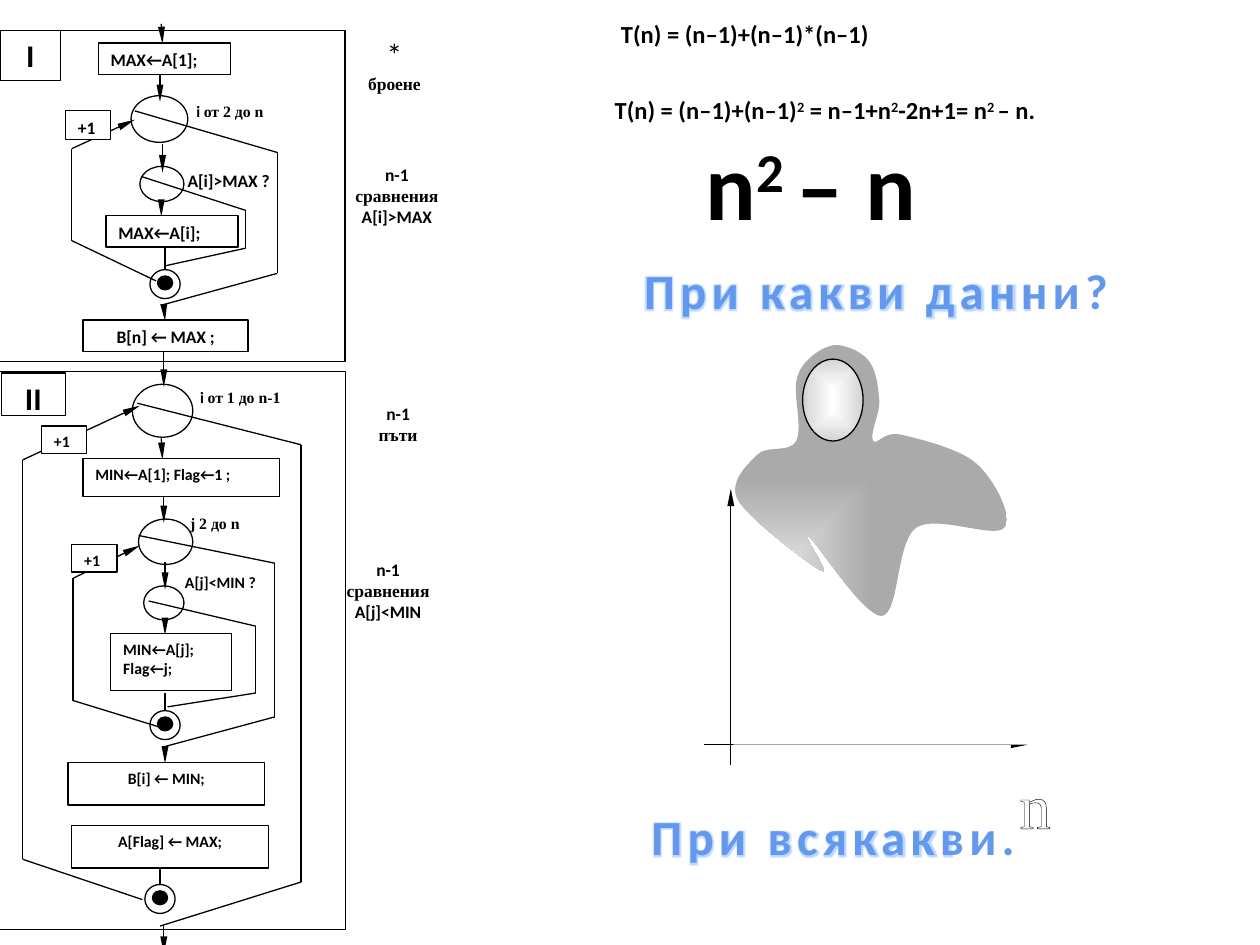
import pptx
import pptx.util
import pptx.dml.color
import pptx.enum.shapes
import pptx.enum.text
import pptx.oxml
import pptx.oxml.ns
from lxml import etree

Inches = pptx.util.Inches
Pt = pptx.util.Pt
qn = pptx.oxml.ns.qn
SHAPE = pptx.enum.shapes.MSO_SHAPE
ALIGN = pptx.enum.text.PP_ALIGN
ANCHOR = pptx.enum.text.MSO_ANCHOR
SANS, SERIF = "Calibri", "Times New Roman"
NAMESPACE = pptx.oxml.ns.nsdecls("a")

# Boxes are left, top, width, height in inches.
PANELS = [(-0.01, 2.95, 2.75, 4.43), (-0.02, 0.24, 2.76, 2.63)]
LOOP_CIRCLES = [(1.04, 0.76, 0.45, 0.37), (1.11, 1.32, 0.35, 0.28), (1.05, 3.05, 0.48, 0.42),
                (1.1, 4.12, 0.43, 0.36), (1.14, 4.65, 0.32, 0.27)]
END_MARKS = [(1.19, 2.14), (1.19, 5.64), (1.15, 7.02)]

STEPS = [  # text, box, size, centred
    ("I", (0, 0.24, 0.48, 0.4), 18, True),
    ("MAX←A[1];", (0.78, 0.34, 1.05, 0.25), 10, False),
    ("+1", (0.52, 0.88, 0.36, 0.23), 10, False),
    ("MAX←A[i];", (0.84, 1.71, 1.05, 0.25), 10, False),
    ("B[n] ← MAX ;", (0.66, 2.54, 1.31, 0.25), 10, True),
    ("II", (0.01, 2.96, 0.51, 0.34), 18, True),
    ("+1", (0.33, 3.38, 0.36, 0.22), 9, False),
    ("MIN←A[1]; Flag←1 ;", (0.66, 3.64, 1.56, 0.3), 9, False),
    ("+1", (0.57, 4.32, 0.36, 0.22), 9, False),
    ("MIN←A[j];\nFlag←j;", (0.88, 5.03, 0.96, 0.45), 9, False),
    ("B[i] ← MIN;", (0.54, 6.05, 1.56, 0.34), 9, True),
    ("A[Flag] ← MAX;", (0.57, 6.55, 1.56, 0.34), 9, True),
]

ARROWS = [
    [(1.28, 0.19), (1.29, 0.35)], [(1.27, 0.59), (1.27, 0.81)],
    [(1.29, 1.14), (1.29, 1.37)], [(1.28, 1.59), (1.28, 1.72)],
    [(1.3, 2.42), (1.31, 2.55)], [(1.3, 2.72), (1.3, 3.07)],
    [(1.28, 3.48), (1.29, 3.65)], [(1.3, 3.93), (1.3, 4.15)],
    [(1.31, 4.46), (1.31, 4.68)], [(1.31, 4.91), (1.31, 5.04)],
    [(1.31, 5.93), (1.31, 6.06)], [(1.3, 7.34), (1.3, 7.57)],
    # return paths of the loops
    [(1.24, 2.23), (0.57, 1.91), (0.57, 1.18), (1.07, 0.95)],
    [(1.33, 5.79), (0.58, 5.56), (0.58, 4.59), (1.11, 4.33)],
    [(1.13, 7.14), (0.18, 6.82), (0.18, 3.65), (1.11, 3.22)],
    # axes
    [(5.8, 6.07), (5.8, 3.88)], [(5.59, 5.91), (8.16, 5.91)],
]
PLAIN_LINES = [
    [(1.31, 1.97), (1.31, 2.14)], [(1.31, 5.5), (1.31, 5.64)], [(1.27, 6.87), (1.27, 7.02)],
    # exits of the loops and tests
    [(1.07, 0.88), (2.2, 1.21), (2.2, 2.17), (1.29, 2.42)],
    [(1.12, 1.4), (1.95, 1.67), (1.95, 1.97), (1.31, 2.11)],
    [(1.09, 3.2), (2.39, 3.53), (2.39, 7), (1.27, 7.35)],
    [(1.1, 4.25), (2.18, 4.47), (2.18, 5.69), (1.29, 5.93)],
    [(1.18, 4.77), (2.03, 4.97), (2.03, 5.5), (1.33, 5.61)],
]

# A paragraph is a list of (text, differing format) runs.
LABELS = [  # box, size, centred, paragraphs
    ((1.46, 0.76, 1.08, 0.22), 9, False, [[("i ", {}), ("от 2 до n", {"font": SERIF})]]),
    ((1.39, 1.3, 1.06, 0.22), 10, False, [[("A[i]>MAX ?", {})]]),
    ((1.49, 3.03, 0.95, 0.23), 9, False, [[("i ", {}), ("от 1 до n-1", {"font": SERIF})]]),
    ((1.41, 4.03, 0.89, 0.26), 9, False, [[("j 2 до n", {"font": SERIF})]]),
    ((1.37, 4.5, 0.86, 0.27), 9, False, [[("A[j]<MIN ?", {})]]),
    ((2.64, 0.23, 0.98, 0.79), 10, True,
     [[("*", {"size": 18, "bold": False})], [("броене", {"font": SERIF})]]),
    ((2.67, 1.25, 0.96, 0.6), 10, True,
     [[("n-1", {})], [("сравнения", {"font": SERIF})], [("A[i]>MAX", {})]]),
    ((2.68, 3.15, 0.96, 0.52), 10, True, [[("n-1", {})], [("пъти", {"font": SERIF})]]),
    ((2.6, 4.39, 0.96, 0.57), 10, True,
     [[("n-1", {})], [("сравнения", {"font": SERIF})], [("A[j]<MIN", {})]]),
]

RAISED = {"baseline": 30}
FORMULAS = [  # box, size, alignment, anchor, runs
    ((4.83, 0.1, 2.23, 0.34), 14, ALIGN.JUSTIFY, ANCHOR.MIDDLE, [("T(n) = (n–1)+(n–1)*(n–1)", {})]),
    ((4.78, 0.7, 3.64, 0.34), 14, ALIGN.JUSTIFY, ANCHOR.MIDDLE,
     [("T(n) = (n–1)+(n–1)", {}), ("2", RAISED), (" = n–1+n", {}), ("2", RAISED),
      ("-2n+1= n", {}), ("2 ", RAISED), ("– n.", {})]),
    ((5.47, 0.95, 1.93, 1.01), 54, ALIGN.CENTER, ANCHOR.TOP,
     [("n", {}), ("2 ", RAISED), ("– n", {})]),
]
QUESTIONS = [("При какви данни?", (4.1, 2.02, 5.71, 0.57), True),
             ("При всякакви.", (5.03, 6.35, 3.17, 0.57), False)]

GHOST_BOX = (5.78, 2.73, 2.27, 2.16)
GHOST_START = (6.93, 3.5)
GHOST_CURVES = [  # two control points and an end point each
    (6.9, 3.45, 6.98, 3.29, 6.98, 3.19), (6.97, 3.08, 6.96, 2.95, 6.9, 2.87),
    (6.85, 2.8, 6.74, 2.75, 6.66, 2.74), (6.59, 2.73, 6.5, 2.78, 6.44, 2.83),
    (6.39, 2.88, 6.34, 2.92, 6.32, 3.03), (6.3, 3.14, 6.37, 3.4, 6.32, 3.5),
    (6.27, 3.6, 6.08, 3.53, 6.01, 3.61), (5.93, 3.69, 5.78, 3.82, 5.86, 3.97),
    (5.95, 4.12, 6.42, 4.48, 6.52, 4.53), (6.61, 4.58, 6.34, 4.2, 6.42, 4.26),
    (6.5, 4.32, 6.86, 4.9, 7, 4.89), (7.14, 4.87, 7.11, 4.31, 7.27, 4.19),
    (7.43, 4.08, 7.89, 4.28, 7.97, 4.19), (8.05, 4.11, 7.89, 3.8, 7.75, 3.68),
    (7.62, 3.56, 7.28, 3.48, 7.15, 3.45), (7.01, 3.42, 6.96, 3.54, 6.93, 3.5),
]


def rgb(code):
    return pptx.dml.color.RGBColor.from_string(code)


def gradient_xml(stops, direction):
    marks = "".join(f'<a:gs pos="{place * 1000}"><a:srgbClr val="{code}"/></a:gs>'
                    for place, code in stops)
    return f"<a:gradFill {NAMESPACE}><a:gsLst>{marks}</a:gsLst>{direction}</a:gradFill>"


def path_gradient(shape, edge, path, focus):
    """Fill from white at the focus (left, top, right, bottom percent) to the edge colour."""
    left, top, right, bottom = (share * 1000 for share in focus)
    direction = (f'<a:path path="{path}"><a:fillToRect l="{left}" t="{top}" '
                 f'r="{right}" b="{bottom}"/></a:path>')
    xml = gradient_xml([(0, "FFFFFF"), (100, edge)], direction)
    shape._element.spPr[1].addnext(pptx.oxml.parse_xml(xml))


def finish(shape, fill=None, line="000000"):
    shape.shadow.inherit = False
    if fill:
        shape.fill.solid()
        shape.fill.fore_color.rgb = rgb(fill)
    if line:
        shape.line.color.rgb = rgb(line)
        shape.line.width = Pt(0.75)
    else:
        shape.line.fill.background()
    return shape


def add_figure(shapes, kind, box, fill="FFFFFF", line="000000"):
    return finish(shapes.add_shape(kind, *map(Inches, box)), fill, line)


def write(shape, paragraphs, size=10, align=ALIGN.LEFT, anchor=ANCHOR.TOP, wrap=True,
          font=SANS, bold=True, color="000000", side=0.1):
    frame = shape.text_frame
    frame.word_wrap, frame.vertical_anchor = wrap, anchor
    frame.margin_left = frame.margin_right = Inches(side)
    for number, runs in enumerate(paragraphs):
        para = frame.add_paragraph() if number else frame.paragraphs[0]
        para.alignment = align
        for text, style in runs:
            span = para.add_run()
            span.text = text
            span.font.name = style.get("font", font)
            span.font.size = Pt(style.get("size", size))
            span.font.bold = style.get("bold", bold)
            span.font.color.rgb = rgb(color)
            if "baseline" in style:
                span.font._element.set("baseline", str(style["baseline"] * 1000))
    return frame.paragraphs[0].runs[0].font._element


def outline_text(properties, code, width):
    properties.insert(0, pptx.oxml.parse_xml(
        f'<a:ln {NAMESPACE} w="{Pt(width)}"><a:solidFill><a:srgbClr val="{code}"/></a:solidFill></a:ln>'))


def decorate_question(properties):
    """Give the letters wide spacing, a blue gradient, a pale outline and a glow."""
    properties.set("spc", "300")
    blue = pptx.oxml.parse_xml(gradient_xml([(10, "6398ED"), (75, "265EA0")], '<a:lin ang="5400000"/>'))
    properties.replace(properties.find(qn("a:solidFill")), blue)
    blue.addnext(pptx.oxml.parse_xml(
        f'<a:effectLst {NAMESPACE}><a:glow rad="{Inches(0.05)}"><a:srgbClr val="7FB5FF">'
        '<a:alpha val="55000"/></a:srgbClr></a:glow></a:effectLst>'))
    outline_text(properties, "F4F6F9", 0.9)


def draw_route(shapes, points, arrow):
    for start, end in zip(points, points[1:]):
        line = shapes.add_connector(pptx.enum.shapes.MSO_CONNECTOR.STRAIGHT, *map(Inches, start + end))
        line.line.color.rgb = rgb("000000")
        line.line.width = Pt(0.75)
        if arrow and end == points[-1]:
            etree.SubElement(line.line._get_or_add_ln(), qn("a:tailEnd"),
                             type="triangle", w="sm", len="lg")
        etree.SubElement(line._element.spPr, qn("a:effectLst"))


def add_curved_outline(shapes, box, start, curves):
    """Freeform through the ends of the curves, whose sides are then bent."""
    builder = shapes.build_freeform(*start, scale=Inches(1))
    builder.add_line_segments([curve[4:] for curve in curves], close=True)
    shape = builder.convert_to_shape()
    shape.left, shape.top, shape.width, shape.height = map(Inches, box)
    outline = next(shape._element.iter(qn("a:path")))
    outline.set("w", str(Inches(box[2])))
    outline.set("h", str(Inches(box[3])))
    for segment, values in zip(outline, [start] + curves):
        if len(values) > 2:
            segment = etree.Element(qn("a:cubicBezTo"))
            outline.replace(outline[curves.index(values) + 1], segment)
        for point in list(segment):
            segment.remove(point)
        for x, y in zip(values[::2], values[1::2]):
            etree.SubElement(segment, qn("a:pt"), x=str(Inches(x - box[0])), y=str(Inches(y - box[1])))
    return shape


def draw_ghost(shapes):
    group = shapes.add_group_shape().shapes
    body = finish(add_curved_outline(group, GHOST_BOX, GHOST_START, GHOST_CURVES), line=None)
    path_gradient(body, "AAAAAA", "rect", (0, 100, 100, 0))
    face = add_figure(group, SHAPE.OVAL, (6.37, 2.85, 0.48, 0.65), fill=None)
    path_gradient(face, "D4D4D4", "shape", (50, 50, 50, 50))


def main():
    deck = pptx.Presentation()
    deck.slide_width, deck.slide_height = Inches(10), Inches(7.5)
    shapes = deck.slides.add_slide(deck.slide_layouts[6]).shapes

    def text_box(box, paragraphs, **style):
        return write(shapes.add_textbox(*map(Inches, box)), paragraphs, **style)

    for box in PANELS:
        add_figure(shapes, SHAPE.RECTANGLE, box)
    for box in LOOP_CIRCLES:
        add_figure(shapes, SHAPE.OVAL, box)
    for left, top in END_MARKS:
        group = shapes.add_group_shape().shapes
        add_figure(group, SHAPE.OVAL, (left, top, 0.24, 0.23))
        add_figure(group, SHAPE.OVAL, (left + 0.06, top + 0.05, 0.12, 0.11), fill="000000")
    for routes, arrow in ((PLAIN_LINES, False), (ARROWS, True)):
        for points in routes:
            draw_route(shapes, points, arrow)
    for text, box, size, centred in STEPS:
        write(add_figure(shapes, SHAPE.RECTANGLE, box), [[(row, {})] for row in text.split("\n")],
              size=size, align=ALIGN.CENTER if centred else ALIGN.LEFT)
    for box, size, centred, paragraphs in LABELS:
        text_box(box, paragraphs, size=size, align=ALIGN.CENTER if centred else ALIGN.LEFT)
    for box, size, align, anchor, runs in FORMULAS:
        text_box(box, [runs], size=size, align=align, anchor=anchor, wrap=False)
    axis_name = text_box((8.09, 6.03, 0.2, 0.17), [[("n", {})]], size=36, align=ALIGN.CENTER,
                         wrap=False, font=SERIF, bold=False, color="FFFFFF", side=0)
    outline_text(axis_name, "000000", 0.75)
    add_figure(shapes, SHAPE.RECTANGLE, (5.82, 4.09, 2.47, 1.82), line=None)
    draw_ghost(shapes)
    for text, box, wrap in QUESTIONS:
        decorate_question(text_box(box, [[(text, {})]], size=28, align=ALIGN.CENTER, wrap=wrap))
    deck.save("out.pptx")


if __name__ == "__main__":
    main()
